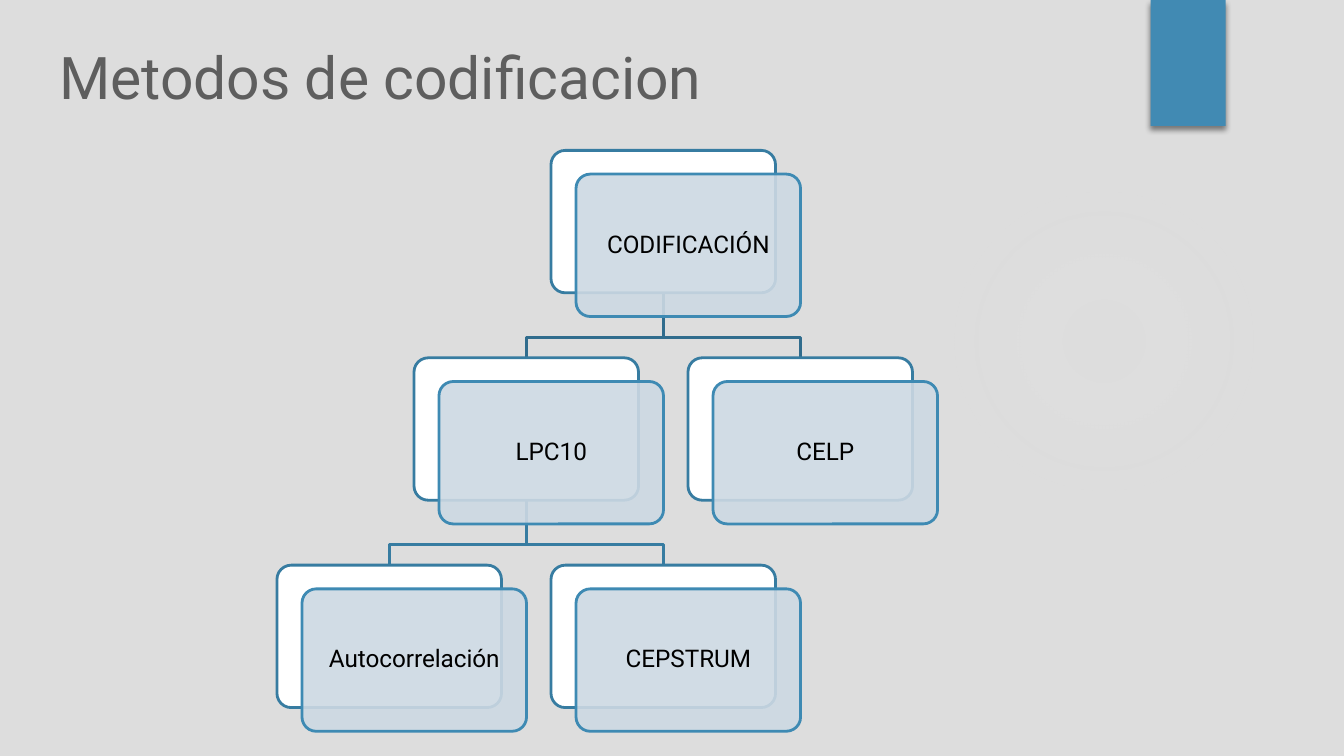
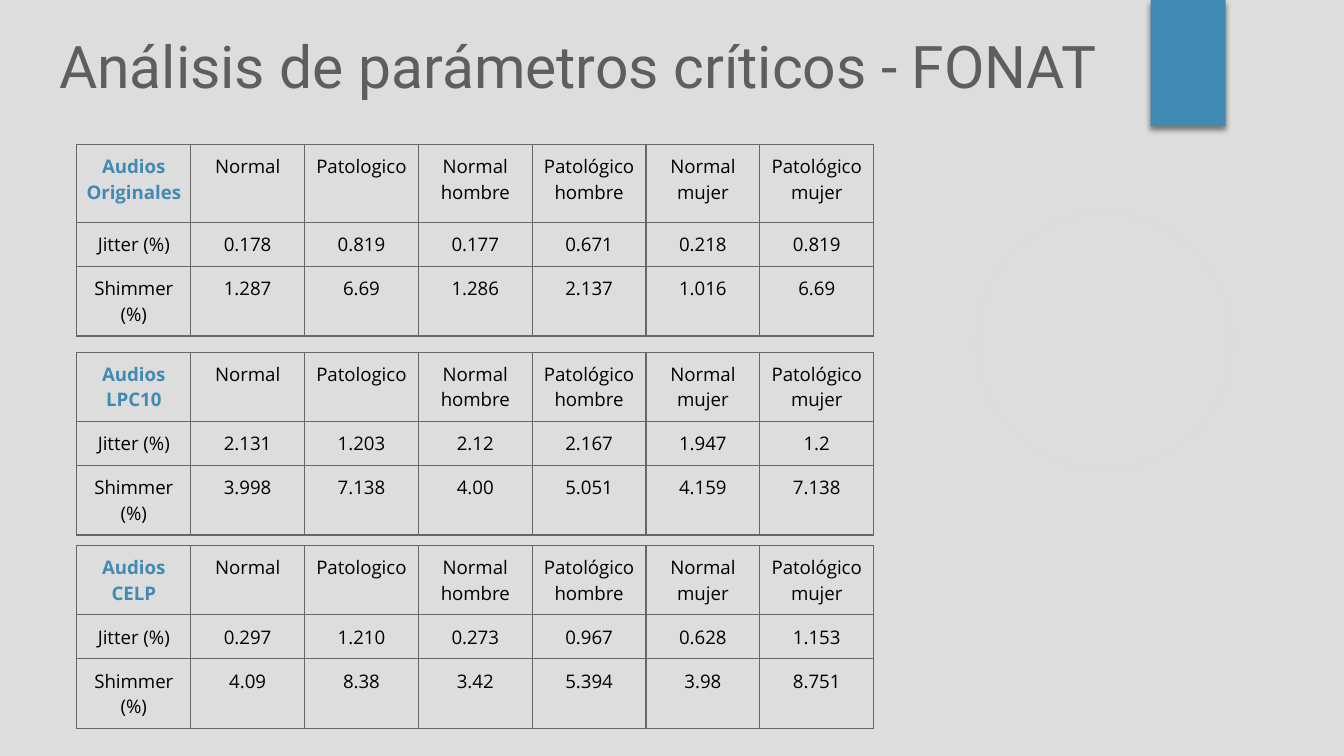
"""Builds two slides: a tree of speech coding methods and three tables of voice measures."""
from pptx import Presentation
from pptx.dml.color import RGBColor
from pptx.enum.shapes import MSO_SHAPE
from pptx.enum.text import MSO_ANCHOR, MSO_AUTO_SIZE, PP_ALIGN
from pptx.oxml import parse_xml
from pptx.oxml.ns import nsdecls, qn
from pptx.util import Pt

RECT, ROUND, OVAL = MSO_SHAPE.RECTANGLE, MSO_SHAPE.ROUNDED_RECTANGLE, MSO_SHAPE.OVAL
LEFT, CENTER = PP_ALIGN.LEFT, PP_ALIGN.CENTER
TOP, MIDDLE = MSO_ANCHOR.TOP, MSO_ANCHOR.MIDDLE

GROUND = RGBColor(0xDD, 0xDD, 0xDD)
GLOW = RGBColor(0xEA, 0xEA, 0xEA)
BLUE = RGBColor(0x41, 0x8A, 0xB3)
GREY = RGBColor(0x5E, 0x5E, 0x5E)
BLACK = RGBColor(0, 0, 0)
WHITE = RGBColor(0xFF, 0xFF, 0xFF)
CARD_FILL = RGBColor(0xCD, 0xD9, 0xE3)
CARD_LINE = RGBColor(0x3E, 0x8A, 0xB3)
BACK_LINE = RGBColor(0x37, 0x7C, 0xA1)
ROOT_LINE = RGBColor(0x30, 0x6C, 0x8D)
BORDER = RGBColor(0x66, 0x66, 0x66)
HEAD_FONT, BODY_FONT = "Roboto", "Open Sans"

CARD_W, CARD_H = 120.3, 76.3
CARD_DX, CARD_DY = 13.4, 12.7
TREE_X, TREE_Y = 148.4, 80.6
STEP_X, STEP_Y = 73.4, 111.1
ELBOW = 23.8
NODES = {
    "CODIFICACIÓN": (2, 0, None),
    "LPC10": (1, 1, "CODIFICACIÓN"),
    "CELP": (3, 1, "CODIFICACIÓN"),
    "Autocorrelación": (0, 2, "LPC10"),
    "CEPSTRUM": (2, 2, "LPC10"),
}

GROUPS = ["Normal", "Patologico", "Normal hombre", "Patológico hombre",
          "Normal mujer", "Patológico mujer"]
TABLES = [
    ("Audios Originales", 77.5, 41.8,
     ["0.178", "0.819", "0.177", "0.671", "0.218", "0.819"],
     ["1.287", "6.69", "1.286", "2.137", "1.016", "6.69"]),
    ("Audios LPC10", 188.7, 31,
     ["2.131", "1.203", "2.12", "2.167", "1.947", "1.2"],
     ["3.998", "7.138", "4.00", "5.051", "4.159", "7.138"]),
    ("Audios CELP", 292.2, 31,
     ["0.297", "1.210", "0.273", "0.967", "0.628", "1.153"],
     ["4.09", "8.38", "3.42", "5.394", "3.98", "8.751"]),
]


def write(tf, text, size, color, font=HEAD_FONT, bold=False, align=CENTER, spacing=None):
    p = tf.paragraphs[0]
    p.alignment = align
    p.line_spacing = spacing
    r = p.add_run()
    r.text = text
    r.font.name, r.font.size, r.font.bold = font, Pt(size), bold
    r.font.color.rgb = color


def frame(tf, inset, anchor):
    tf.word_wrap = True
    tf.auto_size = MSO_AUTO_SIZE.NONE
    tf.vertical_anchor = anchor
    tf.margin_left = tf.margin_right = tf.margin_top = tf.margin_bottom = Pt(inset)


class Deck:
    def __init__(self):
        self.prs = Presentation()
        self.prs.slide_width, self.prs.slide_height = Pt(720), Pt(405)
        fill = self.prs.slide_master.background.fill
        fill.solid()
        fill.fore_color.rgb = GROUND
        self.s = None

    def slide(self, title, top):
        self.s = self.prs.slides.add_slide(self.prs.slide_layouts[5])
        self.glow()
        self.band()
        sp = self.s.shapes.title
        sp.left, sp.top, sp.width, sp.height = Pt(24.5), Pt(top), Pt(671), Pt(55.4)
        frame(sp.text_frame, 7.2, MIDDLE)
        write(sp.text_frame, title, 31.5, GREY, align=LEFT)

    def shape(self, kind, x, y, w, h, fill, line=None, alpha=None):
        sp = self.s.shapes.add_shape(kind, Pt(x), Pt(y), Pt(w), Pt(h))
        sp.shadow.inherit = False
        sp.fill.solid()
        sp.fill.fore_color.rgb = fill
        if alpha:
            color = sp._element.spPr.find(".//" + qn("a:srgbClr"))
            color.append(parse_xml(f'<a:alpha {nsdecls("a")} val="{alpha * 1000}"/>'))
        if line:
            sp.line.color.rgb, sp.line.width = line, Pt(1.5)
        else:
            sp.line.fill.background()
        return sp

    def glow(self):
        sp = self.shape(OVAL, 508.3, 99.4, 166.3, 166.3, GLOW)
        stops = "".join(
            f'<a:gs pos="{pos}000"><a:srgbClr val="{GLOW}"><a:alpha val="{alpha}000"/></a:srgbClr></a:gs>'
            for pos, alpha in [(0, 7), (36, 6), (69, 0), (100, 0)])
        grad = parse_xml(
            f'<a:gradFill {nsdecls("a")}><a:gsLst>{stops}</a:gsLst><a:path path="circle">'
            '<a:fillToRect l="50000" t="50000" r="50000" b="50000"/></a:path></a:gradFill>')
        pr = sp._element.spPr
        pr.replace(pr.find(qn("a:solidFill")), grad)

    def band(self):
        sp = self.shape(RECT, 616.4, 0, 40.3, 67.5, BLUE)
        sp._element.spPr.find(qn("a:effectLst")).append(parse_xml(
            f'<a:outerShdw {nsdecls("a")} blurRad="{Pt(3)}" dist="{Pt(2)}" dir="5400000" '
            'rotWithShape="0"><a:srgbClr val="000000"><a:alpha val="45000"/></a:srgbClr></a:outerShdw>'))

    def card(self, text, x, y):
        back = self.shape(ROUND, x, y, CARD_W, CARD_H, WHITE, BACK_LINE)
        front = self.shape(ROUND, x + CARD_DX, y + CARD_DY, CARD_W, CARD_H,
                           CARD_FILL, CARD_LINE, alpha=90)
        for sp in (back, front):
            sp.adjustments[0] = 0.1
        frame(front.text_frame, 3.6, MIDDLE)
        write(front.text_frame, text, 13, BLACK, spacing=0.9)

    def branch(self, x1, y1, x2, y2, color):
        bend = y1 + ELBOW
        path = self.s.shapes.build_freeform(Pt(x1), Pt(y1))
        path.add_line_segments([(Pt(x), Pt(y)) for x, y in [(x1, bend), (x2, bend), (x2, y2)]],
                               close=False)
        sp = path.convert_to_shape()
        sp.shadow.inherit = False
        sp.fill.background()
        sp.line.color.rgb, sp.line.width = color, Pt(1.5)

    def tree(self, nodes):
        spots = {name: (TREE_X + col * STEP_X, TREE_Y + row * STEP_Y)
                 for name, (col, row, _) in nodes.items()}
        for name, (_, row, parent) in nodes.items():
            if parent:
                (px, py), (x, y) = spots[parent], spots[name]
                self.branch(px + CARD_W / 2, py + CARD_H, x + CARD_W / 2, y,
                            ROOT_LINE if row == 1 else BACK_LINE)
        for name, (x, y) in spots.items():
            self.card(name, x, y)

    def cell(self, cell, text, head):
        cell.margin_left = cell.margin_right = Pt(4.8)
        cell.margin_top = cell.margin_bottom = Pt(5)
        cell.vertical_anchor = TOP
        write(cell.text_frame, text, 10, BLUE if head else BLACK, font=BODY_FONT, bold=head)
        pr = cell._tc.get_or_add_tcPr()
        for side in "LRTB":
            pr.append(parse_xml(
                f'<a:ln{side} {nsdecls("a")} w="{Pt(0.75)}"><a:solidFill>'
                f'<a:srgbClr val="{BORDER}"/></a:solidFill></a:ln{side}>'))
        cell.fill.background()

    def table(self, rows, x, y, col_w, heights):
        cols = len(rows[0])
        t = self.s.shapes.add_table(len(rows), cols, Pt(x), Pt(y),
                                    Pt(col_w * cols), Pt(sum(heights))).table
        t.first_row = t.horz_banding = False
        for col in t.columns:
            col.width = Pt(col_w)
        for i, (row, height) in enumerate(zip(rows, heights)):
            t.rows[i].height = Pt(height)
            for j, text in enumerate(row):
                self.cell(t.cell(i, j), text, head=i == j == 0)


def main():
    deck = Deck()
    deck.slide("Metodos de codificacion", 13)
    deck.tree(NODES)
    deck.slide("Análisis de parámetros críticos - FONAT", 7.2)
    for name, y, head_h, jitter, shimmer in TABLES:
        rows = [[name, *GROUPS], ["Jitter (%)", *jitter], ["Shimmer (%)", *shimmer]]
        deck.table(rows, 41.2, y, 61, [head_h, 20.2, 31])
    deck.prs.save("out.pptx")


if __name__ == "__main__":
    main()
